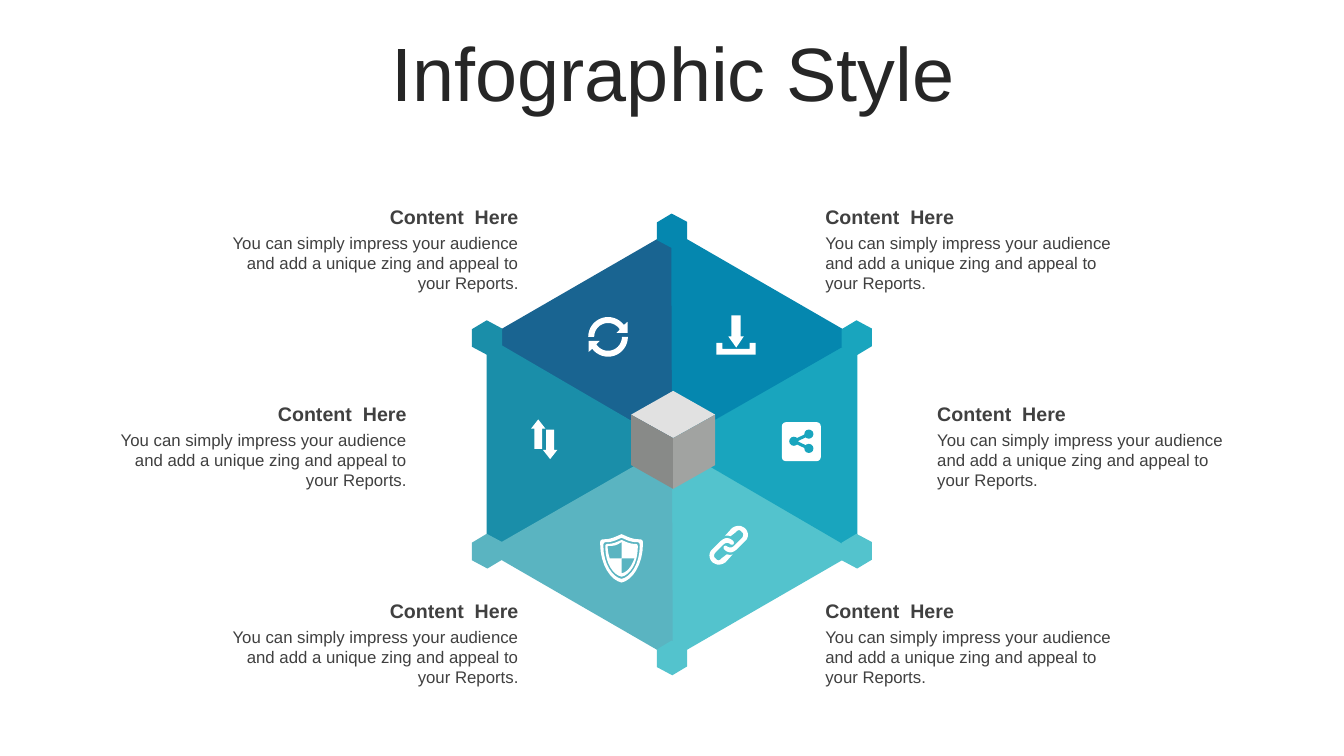
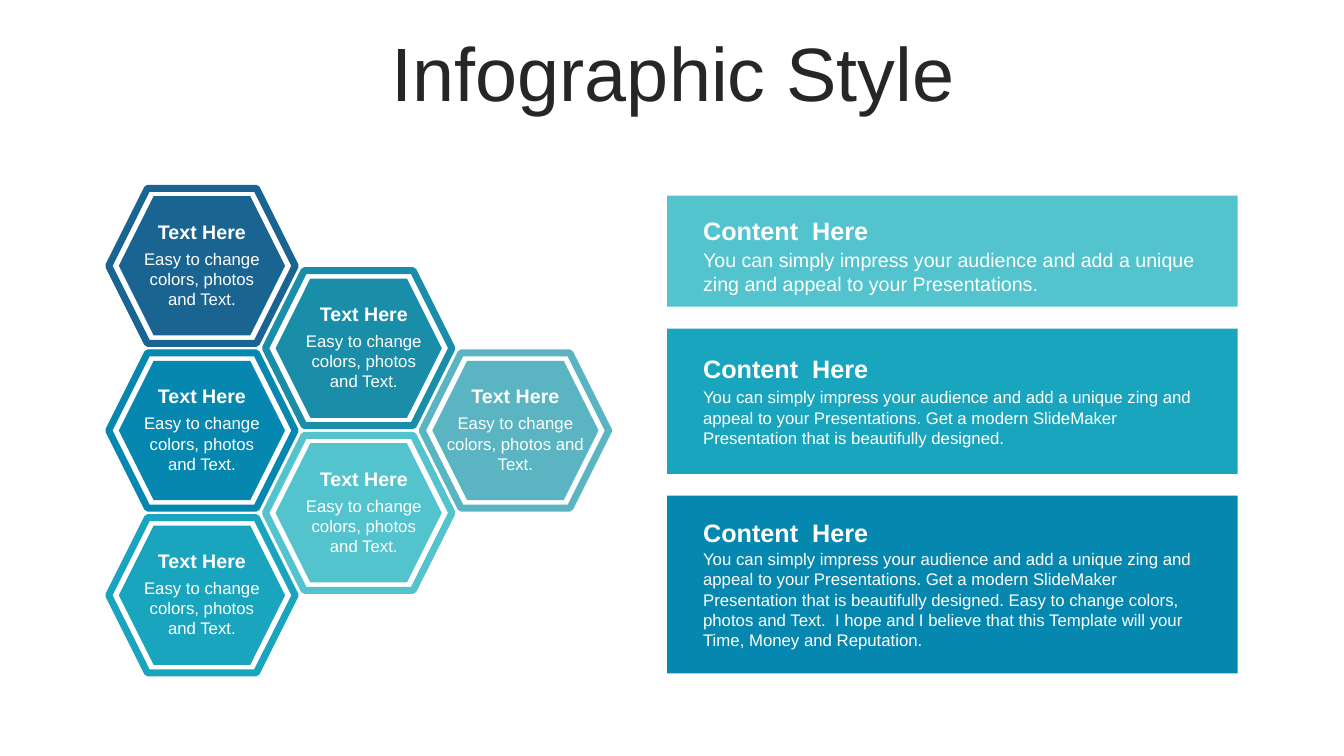
from math import cos, radians, sin

from lxml import etree
from pptx import Presentation
from pptx.dml.color import RGBColor
from pptx.enum.shapes import MSO_CONNECTOR, MSO_SHAPE as SHAPE
from pptx.enum.text import MSO_ANCHOR as ANCHOR, PP_ALIGN as ALIGN
from pptx.oxml.ns import qn
from pptx.util import Cm, Pt

SLIDE_W, SLIDE_H = 33.87, 19.05
FONT = "Arial"
COLORS = {
    "title": "262626", "text": "404040", "white": "FFFFFF",
    "navy": "196491", "blue": "0587AF", "teal": "1A8EA9",
    "cyan": "19A5BE", "mist": "5AB4C1", "aqua": "53C3CD",
    "cube_top": "E1E1E1", "cube_left": "888A88", "cube_right": "A1A3A1",
}
HEADING = "Content  Here"
IMPRESS = "You can simply impress your audience and add a unique zing and appeal to your "
MODERN = IMPRESS + ("Presentations. Get a modern SlideMaker "
                    "Presentation that is beautifully designed.")
HOPE = (" Easy to change colors, photos and Text.  I hope and I believe that "
        "this Template will your Time, Money and Reputation.")


def rgb(name):
    return RGBColor.from_string(COLORS[name])


# Shared drawing

def add_text(s, text, x, y, w, h, size=12, color="text", bold=False,
             align=ALIGN.LEFT, anchor=ANCHOR.TOP, spacing=None):
    tf = s.shapes.add_textbox(Cm(x), Cm(y), Cm(w), Cm(h)).text_frame
    tf.word_wrap = True
    tf.vertical_anchor = anchor
    p = tf.paragraphs[0]
    p.alignment = align
    p.line_spacing = spacing
    r = p.add_run()
    r.text = text
    f = r.font
    f.name, f.size, f.bold = FONT, Pt(size), bold
    f.color.rgb = rgb(color)


def add_caption(s, heading, body, x, y, w, gap=0.69, sizes=(14, 12), **fmt):
    """Bold heading with its body text starting `gap` below the heading's top."""
    add_text(s, heading, x, y, w, 0.86, size=sizes[0], bold=True, **fmt)
    add_text(s, body, x, y + gap, w, 1.8, size=sizes[1], **fmt)


def paint(sp, fill=None, line=None, width=1):
    sp.shadow.inherit = False
    if fill:
        sp.fill.solid()
        sp.fill.fore_color.rgb = rgb(fill)
    else:
        sp.fill.background()
    if line:
        sp.line.color.rgb = rgb(line)
        sp.line.width = Pt(width)
    else:
        sp.line.fill.background()


def add_centred(s, kind, cx, cy, w, h, rotation=0, **look):
    sp = s.shapes.add_shape(kind, Cm(cx - w / 2), Cm(cy - h / 2), Cm(w), Cm(h))
    sp.rotation = rotation
    paint(sp, **look)
    return sp


def add_outline(s, x, y, contours, fill):
    """Freeform of closed contours given relative to (x, y); inner ones are holes."""
    def emu(points):
        return [(Cm(x + px), Cm(y + py)) for px, py in points]

    builder = None
    for contour in contours:
        start, *rest = emu(contour)
        if builder is None:
            builder = s.shapes.build_freeform(*start, scale=1.0)
        else:
            builder.move_to(*start)
        builder.add_line_segments(rest, close=True)
    paint(builder.convert_to_shape(), fill=fill)


def new_slide(prs):
    s = prs.slides.add_slide(prs.slide_layouts[6])
    add_text(s, "Infographic Style", 0.89, 0.94, 32.16, 2.01, size=54, color="title",
             align=ALIGN.CENTER, anchor=ANCHOR.MIDDLE, spacing=0.9)
    return s


# Contour geometry

def arc(cx, cy, radius, start, end, steps=16):
    angles = [radians(start + (end - start) * i / steps) for i in range(steps + 1)]
    return [(cx + radius * cos(a), cy + radius * sin(a)) for a in angles]


def trace(start, *moves, steps=8):
    """Points along moves: a pair is a line, six numbers are a cubic curve."""
    points = [start]
    for move in moves:
        if len(move) == 2:
            points.append(move)
            continue
        x0, y0 = points[-1]
        x1, y1, x2, y2, x3, y3 = move
        for i in range(1, steps + 1):
            t = i / steps
            u = 1 - t
            a, b, c, d = u ** 3, 3 * u * u * t, 3 * u * t * t, t ** 3
            points.append((a * x0 + b * x1 + c * x2 + d * x3,
                           a * y0 + b * y1 + c * y2 + d * y3))
    return points


def with_half_turn(contour, cx, cy):
    return [contour, [(2 * cx - x, 2 * cy - y) for x, y in contour]]


# Icons

def refresh_icon(s, x, y):
    arrow = (arc(0.5, 0.51, 0.5, 180, 323)
             + [(0.99, 0.13), (0.99, 0.41), (0.71, 0.41), (0.79, 0.33)]
             + arc(0.5, 0.51, 0.35, 327, 180))
    add_outline(s, x, y, with_half_turn(arrow, 0.5, 0.51), "white")


def download_icon(s, x, y):
    tray = [(0, 0.69), (0.15, 0.69), (0.15, 0.84), (0.84, 0.84),
            (0.84, 0.69), (0.99, 0.69), (0.99, 0.99), (0, 0.99)]
    arrow = [(0.38, 0), (0.61, 0), (0.61, 0.53), (0.69, 0.53),
             (0.5, 0.81), (0.3, 0.53), (0.38, 0.53)]
    add_outline(s, x, y, [tray, arrow], "white")


def swap_icon(s, x, y):
    arrow = [(0.18, 0), (0.36, 0.23), (0.28, 0.23), (0.28, 0.74),
             (0.08, 0.74), (0.08, 0.23), (0, 0.23)]
    add_outline(s, x, y, with_half_turn(arrow, 0.33, 0.5), "white")


def shield_icon(s, x, y):
    cx, cy = 0.53, 0.61
    right = trace((cx, 0), (0.71, 0.08, 0.81, 0.13, 0.97, 0.13),
                  (1.04, 0.13, 1.07, 0.15, 1.07, 0.23),
                  (1.07, 0.79, 0.79, 1.17, cx, 1.22))
    rim = right + [(2 * cx - px, py) for px, py in reversed(right)]
    rings = [[(cx + (px - cx) * k, cy + (py - cy) * k) for px, py in rim]
             for k in (1, 0.85, 0.76)]
    upper_left = trace((cx, 0.2), (0.41, 0.28, 0.36, 0.3, 0.18, 0.3),
                       (0.18, 0.41, 0.2, 0.51, 0.23, cy), (cx, cy))
    lower_right = trace((cx, cy), (cx, 0.99), (0.74, 0.94, 0.81, 0.71, 0.86, cy))
    add_outline(s, x, y, rings + [upper_left, lower_right], "white")


def share_icon(s, x, y):
    card = add_centred(s, SHAPE.ROUNDED_RECTANGLE, x + 0.49, y + 0.49, 0.98, 0.98,
                       fill="white")
    card.adjustments[0] = 0.1
    hub = (x + 0.3, y + 0.48)
    ends = [(x + 0.68, y + 0.3), (x + 0.68, y + 0.66)]
    for end in ends:
        c = s.shapes.add_connector(MSO_CONNECTOR.STRAIGHT, *map(Cm, hub + end))
        c.line.color.rgb = rgb("cyan")
        c.line.width = Pt(2.25)
        etree.SubElement(c._element.spPr, qn("a:effectLst"))
    for cx, cy in [hub, *ends]:
        add_centred(s, SHAPE.OVAL, cx, cy, 0.23, 0.23, fill="cyan")


def link_icon(s, x, y):
    ring = trace(
        (0.46, 0.3), (0.53, 0.3, 0.58, 0.33, 0.63, 0.38),
        (0.66, 0.46, 0.61, 0.48, 0.56, 0.46), (0.51, 0.41, 0.43, 0.41, 0.38, 0.46),
        (0.18, 0.66), (0.13, 0.71, 0.13, 0.79, 0.18, 0.81),
        (0.2, 0.84, 0.23, 0.86, 0.25, 0.86), (0.28, 0.86, 0.3, 0.84, 0.33, 0.81),
        (0.46, 0.71), (0.48, 0.71, 0.56, 0.74, 0.61, 0.71), (0.43, 0.91),
        (0.38, 0.94, 0.33, 0.97, 0.25, 0.97), (0.2, 0.97, 0.15, 0.94, 0.1, 0.91),
        (0, 0.81, 0, 0.66, 0.1, 0.58), (0.3, 0.38),
        (0.36, 0.33, 0.41, 0.3, 0.46, 0.3))
    add_outline(s, x, y, with_half_turn(ring, 0.51, 0.48), "white")


# Slide regions

def draw_cube(s, cx, cy):
    top, bottom, centre = (0, -1.28), (0, 1.19), (0, -0.09)
    left, right = (-1.06, -0.68), (1.06, -0.68)
    low_left, low_right = (-1.06, 0.59), (1.06, 0.59)
    faces = {"cube_top": [top, right, centre, left],
             "cube_left": [left, centre, bottom, low_left],
             "cube_right": [centre, right, low_right, bottom]}
    for color, face in faces.items():
        add_outline(s, cx, cy, [face], color)


def draw_wheel(s, cx, cy):
    """Hexagon of six sectors around a cube, with a knob at each corner."""
    base, height, knob_radius = 5.44, 4.67, 5.38
    sectors = {60: "aqua", 240: "navy", 0: "cyan", 180: "teal", 120: "mist", 300: "blue"}
    for angle, color in sectors.items():
        (point,) = arc(cx, cy, height / 2, angle, angle, steps=1)[:1]
        add_centred(s, SHAPE.ISOSCELES_TRIANGLE, *point, base, height,
                    rotation=(angle - 90) % 360, fill=color)
    draw_cube(s, cx + 0.03, cy - 0.07)
    icons = [(refresh_icon, -2.11, -3.22), (download_icon, 1.12, -3.25),
             (swap_icon, -3.55, -0.63), (shield_icon, -1.8, 2.26),
             (share_icon, 2.77, -0.56), (link_icon, 0.92, 2.06)]
    for icon, dx, dy in icons:
        icon(s, cx + dx, cy + dy)
    knobs = ["blue", "cyan", "aqua", "aqua", "mist", "teal"]
    corners = arc(cx, cy, knob_radius, -90, 270, steps=6)
    for point, color in zip(corners, knobs):
        knob = add_centred(s, SHAPE.HEXAGON, *point, 0.89, 0.76, rotation=329.1, fill=color)
        knob.adjustments[0] = 0.3


def draw_honeycomb(s, cx, cy):
    """Columns of three, two and one hexagons; (cx, cy) is the first centre."""
    step_x, step_y, ring_h = 3.95, 4.15, 3.91
    columns = [(["navy", "blue", "cyan"], 0, 3.89),
               (["teal", "aqua"], 0.13, 3.89),
               (["mist"], 0, 4.06)]
    for col, (colors, shift, text_w) in enumerate(columns):
        x = cx + col * step_x
        for row, color in enumerate(colors):
            y = cy + (row + col / 2) * step_y
            add_centred(s, SHAPE.HEXAGON, x, y, 4.7, ring_h, line=color, width=5)
            add_centred(s, SHAPE.HEXAGON, x, y, 4.19, 3.51, fill=color)
            add_caption(s, "Text Here", "Easy to change colors, photos and Text.",
                        x + shift - text_w / 2, y - ring_h / 2 + 0.66, text_w,
                        gap=0.73, color="white", align=ALIGN.CENTER)


def draw_panels(s, x, y, w):
    panels = [("aqua", 2.8, 0.36, 0.84, 14, IMPRESS + "Presentations."),
              ("cyan", 3.66, 0.51, 0.84, 12, MODERN),
              ("blue", 4.48, 0.43, 0.79, 12, MODERN + HOPE)]
    for color, h, inset, gap, size, body in panels:
        add_centred(s, SHAPE.RECTANGLE, x + w / 2, y + h / 2, w, h, fill=color)
        add_caption(s, HEADING, body, x + 0.66, y + inset, 13.33, gap=gap,
                    sizes=(18, size), color="white")
        y += h + 0.55


def wheel_slide(prs):
    s = new_slide(prs)
    draw_wheel(s, SLIDE_W / 2, 11.2)
    w = 8
    for row, x in enumerate([20.55, 23.37, 20.55]):
        y = 5.05 + 4.96 * row
        for left, align in [(x, ALIGN.LEFT), (SLIDE_W - x - w, ALIGN.RIGHT)]:
            add_caption(s, HEADING, IMPRESS + "Reports.", left, y, w, align=align)


def honeycomb_slide(prs):
    s = new_slide(prs)
    draw_honeycomb(s, 5.09, 6.7)
    draw_panels(s, 16.81, 4.93, 14.38)


def main():
    prs = Presentation()
    prs.slide_width, prs.slide_height = Cm(SLIDE_W), Cm(SLIDE_H)
    wheel_slide(prs)
    honeycomb_slide(prs)
    prs.save("out.pptx")


if __name__ == "__main__":
    main()
